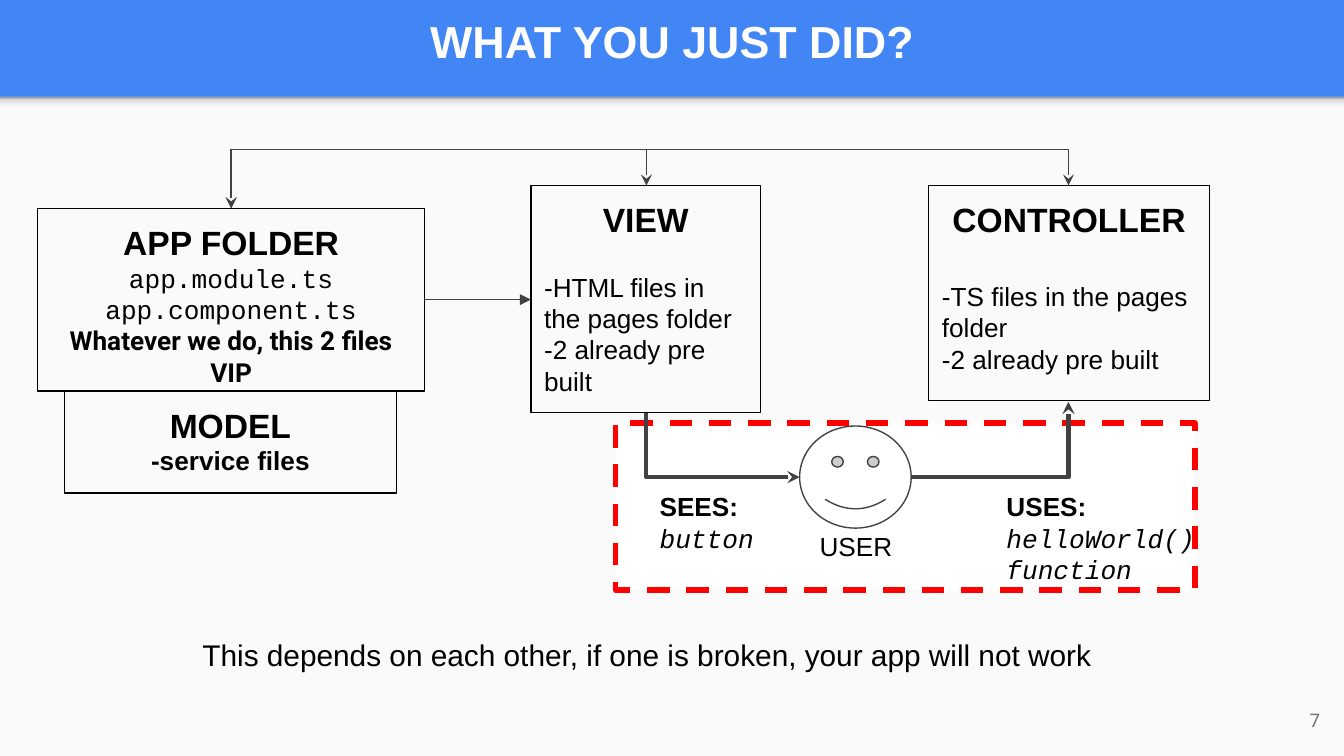
from lxml import etree
from pptx import Presentation
from pptx.dml.color import RGBColor
from pptx.enum.dml import MSO_LINE
from pptx.enum.shapes import MSO_CONNECTOR, MSO_SHAPE
from pptx.enum.text import MSO_ANCHOR, PP_ALIGN
from pptx.oxml.ns import qn
from pptx.util import Inches, Pt

RECT, SMILEY = MSO_SHAPE.RECTANGLE, MSO_SHAPE.SMILEY_FACE
LEFT, CENTER, RIGHT = PP_ALIGN.LEFT, PP_ALIGN.CENTER, PP_ALIGN.RIGHT
TOP, MIDDLE = MSO_ANCHOR.TOP, MSO_ANCHOR.MIDDLE
ELBOW, DASH = MSO_CONNECTOR.ELBOW, MSO_LINE.DASH

WIDTH = 10
HEIGHT = WIDTH * 9 / 16
BANNER = 0.72

THEME = {
    "blue": "4285F4", "paper": "FAFAFA", "white": "FFFFFF", "ink": "000000",
    "arrow": "424242", "alert": "FF0000", "muted": "737373",
    "shade": [(0, "F9F9F9"), (36, "F9F9F9"), (80, "DEDEDE"), (100, "999999")],
    "thin": 0.75, "thick": 2.25, "frame": 3,
    "text": {
        "title": {"size": 24, "bold": True, "color": "white"},
        "heading": {"size": 18, "bold": True},
        "strong": {"bold": True},
        "body": {},
        "code": {"name": "Courier New"},
        "call": {"name": "Courier New", "italic": True},
        "note": {"name": "Roboto", "bold": True},
        "footer": {"size": 16},
        "number": {"name": "Roboto", "size": 10, "color": "muted"},
    },
}
BASE = {"name": "Arial", "size": 14, "bold": False, "italic": False, "color": "ink"}

BOXES = [
    ((0.48, 2.91, 2.47, 0.76), 0,
     [("MODEL", "heading", CENTER), ("-service files", "strong", CENTER)]),
    ((3.95, 1.38, 1.71, 1.69), 17,
     [("VIEW", "heading", CENTER),
      ("-HTML files in the pages folder", "body", LEFT),
      ("-2 already pre built", "body", LEFT)]),
    ((6.91, 1.38, 2.09, 1.6), 22,
     [("CONTROLLER", "heading", CENTER),
      ("-TS files in the pages folder", "body", LEFT),
      ("-2 already pre built", "body", LEFT)]),
    ((0.28, 1.55, 2.88, 1.36), 0,
     [("APP FOLDER", "heading", CENTER),
      ("app.module.ts", "code", CENTER),
      ("app.component.ts", "code", CENTER),
      ("Whatever we do, this 2 files VIP", "note", CENTER)]),
]
LABELS = [
    ((0.24, 0, 9.52, 0.68), TOP, [("WHAT YOU JUST DID?", "title", CENTER)]),
    ((1.03, 4.64, 7.57, 0.56), TOP,
     [("This depends on each other, if one is broken, your app will not work",
       "footer", CENTER)]),
    ((6, 3.85, 0.84, 0.26), TOP, [("USER", "body", LEFT)]),
    ((4.81, 3.55, 0.93, 0.4), TOP,
     [("SEES:", "strong", LEFT), ("button", "call", LEFT)]),
    ((7.39, 3.55, 1.77, 0.84), TOP,
     [("USES:", "strong", LEFT), ("helloWorld()", "call", LEFT),
      ("function", "call", LEFT)]),
    ((9.32, 5.14, 0.6, 0.43), MIDDLE, [("7", "number", RIGHT)]),
]
BRACKET = {"bend": "bentConnector3", "rot": 90, "adj": -1.57, "weight": "thin",
           "ends": {"headEnd": "stealth", "tailEnd": "stealth"}}
CORNER = {"bend": "bentConnector2", "weight": "thick", "ends": {"tailEnd": "stealth"}}
ARROWS = [
    ((7.95, 1.38), (1.72, 1.55), BRACKET),
    ((4.81, 1.38), (1.72, 1.55), BRACKET),
    ((3.16, 2.23), (3.95, 2.23),
     {"bend": "bentConnector3", "rot": 0, "adj": 0.5, "weight": "thin",
      "ends": {"tailEnd": "triangle"}}),
    ((4.81, 3.07), (5.95, 3.55), {**CORNER, "rot": 270, "flip": True}),
    ((6.78, 3.55), (7.95, 2.99), {**CORNER, "rot": 180, "flip": True}),
]


def rgb(name):
    return RGBColor.from_string(THEME[name])


def add_shape(s, kind, at, fill=None, line=None, weight="thin"):
    sp = s.shapes.add_shape(kind, *map(Inches, at))
    sp.shadow.inherit = False
    if fill:
        sp.fill.solid()
        sp.fill.fore_color.rgb = rgb(fill)
    else:
        sp.fill.background()
    if line:
        sp.line.color.rgb = rgb(line)
        sp.line.width = Pt(THEME[weight])
    else:
        sp.line.fill.background()
    return sp


def write(sp, lines, anchor=TOP, gap=0):
    tf = sp.text_frame
    frame = dict.fromkeys(
        ("margin_left", "margin_right", "margin_top", "margin_bottom"), Inches(0.1))
    for key, value in {**frame, "word_wrap": True, "vertical_anchor": anchor}.items():
        setattr(tf, key, value)
    for i, (text, style, align) in enumerate(lines):
        p = tf.add_paragraph() if i else tf.paragraphs[0]
        p.alignment = align
        if i == 0 and gap:
            p.space_after = Pt(gap)
        r = p.add_run()
        r.text = text
        fmt = {**BASE, **THEME["text"][style]}
        r.font.color.rgb = rgb(fmt.pop("color"))
        fmt["size"] = Pt(fmt["size"])
        for key, value in fmt.items():
            setattr(r.font, key, value)


def add_arrow(s, start, end, look):
    (x1, y1), (x2, y2) = start, end
    w, h = abs(x2 - x1), abs(y2 - y1)
    if look["rot"] in (90, 270):
        w, h = h, w
    left, top = (x1 + x2 - w) / 2, (y1 + y2 - h) / 2
    c = s.shapes.add_connector(ELBOW, *map(Inches, (left, top, left + w, top + h)))
    c.line.color.rgb = rgb("arrow")
    c.line.width = Pt(THEME[look["weight"]])
    pr = c._element.spPr
    xfrm = pr.find(qn("a:xfrm"))
    xfrm.set("rot", str(look["rot"] * 60000))
    if look.get("flip"):
        xfrm.set("flipH", "1")
    geom = pr.find(qn("a:prstGeom"))
    geom.set("prst", look["bend"])
    if "adj" in look:
        etree.SubElement(geom.find(qn("a:avLst")), qn("a:gd"), name="adj1",
                         fmla=f"val {round(look['adj'] * 100000)}")
    for tag, kind in look["ends"].items():
        etree.SubElement(pr.find(qn("a:ln")), qn("a:" + tag), type=kind)
    etree.SubElement(pr, qn("a:effectLst"))


def add_shade(s, at):
    sp = add_shape(s, RECT, at)
    sp.fill.gradient()
    sp.fill.gradient_angle = 90
    stops = sp._element.spPr.find(qn("a:gradFill")).find(qn("a:gsLst"))
    for stop in list(stops):
        stops.remove(stop)
    for pos, color in THEME["shade"]:
        stop = etree.SubElement(stops, qn("a:gs"), pos=str(pos * 1000))
        etree.SubElement(stop, qn("a:srgbClr"), val=color)


def main():
    prs = Presentation()
    prs.slide_width, prs.slide_height = Inches(WIDTH), Inches(HEIGHT)
    s = prs.slides.add_slide(prs.slide_layouts[6])
    s.background.fill.solid()
    s.background.fill.fore_color.rgb = rgb("blue")
    add_shape(s, RECT, (0, BANNER, WIDTH, HEIGHT - BANNER), "paper")
    add_shade(s, (0, BANNER, WIDTH, 0.12))
    zone = add_shape(s, RECT, (4.58, 3.15, 4.31, 1.24), "white", "alert", "frame")
    zone.line.dash_style = DASH
    for at, gap, lines in BOXES:
        write(add_shape(s, RECT, at, line="ink"), lines, gap=gap)
    add_shape(s, SMILEY, (5.95, 3.17, 0.83, 0.76), "white", "arrow")
    for arrow in ARROWS:
        add_arrow(s, *arrow)
    for at, anchor, lines in LABELS:
        write(s.shapes.add_textbox(*map(Inches, at)), lines, anchor)
    prs.save("out.pptx")


if __name__ == "__main__":
    main()
